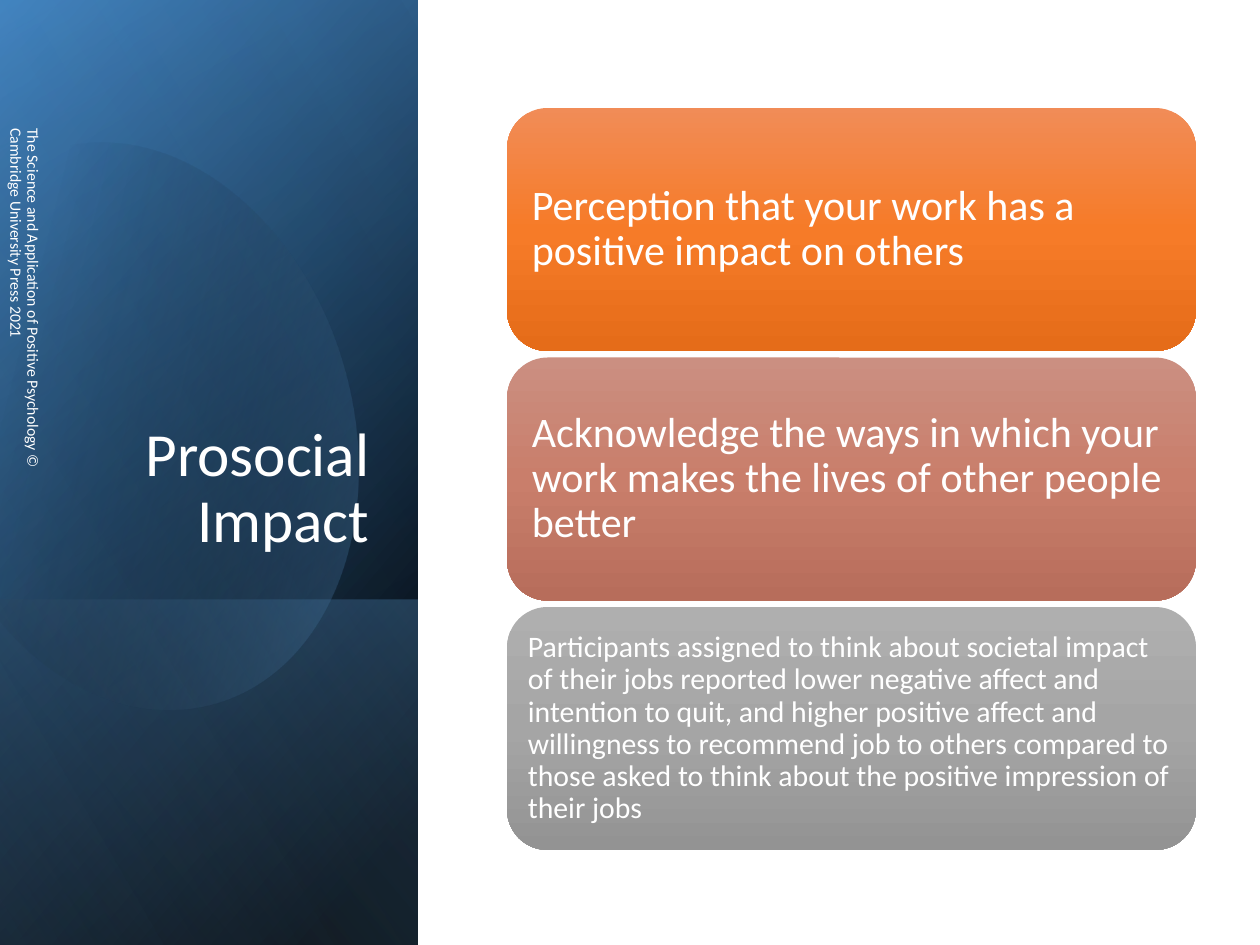
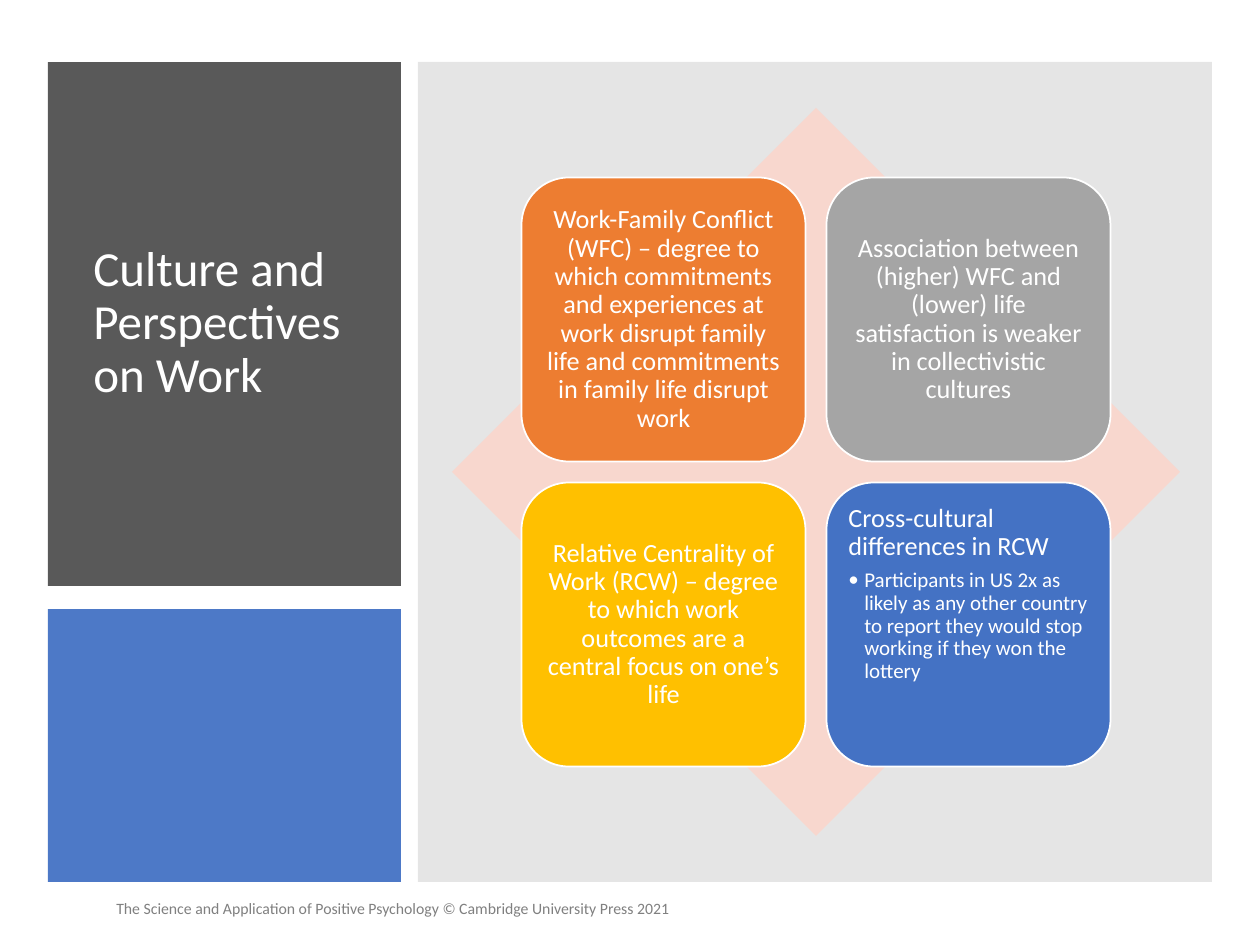
from lxml import etree
from pptx import Presentation
from pptx import util as u
from pptx.dml.color import RGBColor
from pptx.enum import shapes, text
from pptx.oxml import ns

PX = u.Inches(1) / 126
FONT = "Calibri"
WHITE, GREY, BLUE, SKY = "FFFFFF", "808080", "4472C4", "5B9BD5"
CREDIT = ("The Science and Application of Positive Psychology "
          "© Cambridge University Press 2021")
KIND = shapes.MSO_SHAPE
MID, LOW, TOP = (text.MSO_ANCHOR.MIDDLE, text.MSO_ANCHOR.BOTTOM,
                 text.MSO_ANCHOR.TOP)
LEFT, MIDDLE, RIGHT = (text.PP_ALIGN.LEFT, text.PP_ALIGN.CENTER,
                       text.PP_ALIGN.RIGHT)


def px(n):
    return round(n * PX)


def rgb(code):
    return RGBColor.from_string(code)


def node(parent, tag, **attrs):
    return etree.SubElement(parent, ns.qn(tag),
                            {k: str(v) for k, v in attrs.items()})


def paint(shape, fill, alpha=100, line=None):
    """Fill with one colour, or with (angle, stops of position, colour, alpha)."""
    shape.shadow.inherit = False
    if isinstance(fill, str):
        shape.fill.solid()
        shape.fill.fore_color.rgb = rgb(fill)
        if alpha < 100:
            color = shape._element.spPr.find(".//" + ns.qn("a:srgbClr"))
            node(color, "a:alpha", val=alpha * 1000)
    else:
        blend(shape, *fill)
    if line:
        shape.line.color.rgb = rgb(line)
        shape.line.width = u.Pt(1)
    else:
        shape.line.fill.background()


def blend(shape, angle, stops):
    shape.fill.background()
    blank = shape._element.spPr.find(ns.qn("a:noFill"))
    grad = etree.Element(ns.qn("a:gradFill"), rotWithShape="1")
    group = node(grad, "a:gsLst")
    for pos, code, alpha in stops:
        stop = node(group, "a:gs", pos=pos * 1000)
        color = node(stop, "a:srgbClr", val=code)
        if alpha < 100:
            node(color, "a:alpha", val=alpha * 1000)
    node(grad, "a:lin", ang=angle * 60000, scaled=0)
    blank.getparent().replace(blank, grad)


def block(slide, kind, box, fill, **look):
    shape = slide.shapes.add_shape(kind, *map(px, box))
    paint(shape, fill, **look)
    return shape


def write(shape, words, size=15, color=WHITE, align=LEFT, anchor=MID,
          inset=None, spacing=0.9, bullet=False):
    """Set the first paragraph, or add a bulleted one below it."""
    frame = shape.text_frame
    frame.word_wrap = True
    if bullet:
        para = frame.add_paragraph()
        para.level = 1
        props = para._p.get_or_add_pPr()
        props.set("marL", str(px(16)))
        props.set("indent", str(-px(16)))
        node(props, "a:buFont", typeface=FONT)
        node(props, "a:buChar", char="•")
    else:
        para = frame.paragraphs[0]
        frame.vertical_anchor = anchor
        if inset is not None:
            frame.margin_left = frame.margin_right = px(inset)
            frame.margin_top = frame.margin_bottom = px(inset)
    para.alignment = align
    para.line_spacing = spacing
    run = para.add_run()
    run.text = words
    run.font.name = FONT
    run.font.size = u.Pt(size)
    run.font.color.rgb = rgb(color)
    return para


def label(slide, box, words, **look):
    shape = slide.shapes.add_textbox(*map(px, box))
    write(shape, words, **look)
    return shape


def credit(slide, box, turn=0, **look):
    """Centre the credit as a block whose lines start at the left."""
    shape = label(slide, box, CREDIT, size=9, **look)
    shape.rotation = turn
    shape.text_frame._txBody.bodyPr.set("anchorCtr", "1")


def glow(slide, x, y):
    """Draw the tilted oval with curved edges."""
    wide, high = 403, 576
    pen = slide.shapes.build_freeform(px(x), px(y))
    pen.add_line_segments([(px(x + a), px(y + b)) for a, b in
                           ((wide, 0), (wide, high), (0, high))])
    shape = pen.convert_to_shape()
    track = shape._element.spPr.find(".//" + ns.qn("a:path"))
    for part in list(track):
        track.remove(part)
    track.set("w", str(wide))
    track.set("h", str(high))
    steps = [("moveTo", (251, 13)),
             ("cubicBezTo", (339, 49), (403, 159), (403, 288)),
             ("cubicBezTo", (403, 447), (306, 576), (187, 576)),
             ("cubicBezTo", (112, 576), (46, 526), (8, 449)),
             ("lnTo", (0, 431)),
             ("lnTo", (86, 34)),
             ("lnTo", (102, 23)),
             ("cubicBezTo", (129, 8), (157, 0), (187, 0)),
             ("cubicBezTo", (210, 0), (231, 5), (251, 13)),
             ("close",)]
    for name, *points in steps:
        step = node(track, "a:" + name)
        for a, b in points:
            node(step, "a:pt", x=a, y=b)
    shape.rotation = 343.9
    paint(shape, (30, [(29, "000000", 0), (100, SKY, 43)]))


def band(slide, x, y, wide, high):
    """Layer the blue side band, with its title and upright credit."""
    full = (x, y, wide, high)
    foot = (x, y + 600, wide, high - 600)
    layers = [(full, 220, [(8, "000000", 100), (100, "2E75B6", 100)]),
              (full, 240, [(0, "000000", 0), (99, SKY, 46)]),
              (foot, 140, [(2, SKY, 29), (100, "000000", 30)])]
    for box, angle, stops in layers:
        block(slide, KIND.RECTANGLE, box, (angle, stops))
    glow(slide, x - 52, y + 134)
    block(slide, KIND.RECTANGLE, full,
          (150, [(0, "000000", 0), (99, "9DC3E6", 11)]))
    label(slide, (x + 60, y + 232, 322, 330), "Prosocial Impact",
          size=35, align=RIGHT, anchor=LOW)
    credit(slide, (x - 189, y + 273, 426, 50), turn=90)


def stack(slide, x, y, wide, high):
    cards = [
        ("Perception that your work has a positive impact on others",
         24, 13, ("F18C57", "F67B28", "E56C19")),
        ("Acknowledge the ways in which your work makes the lives of other "
         "people better", 24, 13, ("CB8F81", "C97E6B", "B76D5B")),
        ("Participants assigned to think about societal impact of their jobs "
         "reported lower negative affect and intention to quit, and higher "
         "positive affect and willingness to recommend job to others compared "
         "to those asked to think about the positive impression of their jobs",
         17, 9, ("AFAFAF", "A5A5A5", "939393"))]
    tall = 243
    step = (high - tall) / (len(cards) - 1)
    for i, (words, size, inset, tones) in enumerate(cards):
        stops = [(50 * n, tone, 100) for n, tone in enumerate(tones)]
        card = block(slide, KIND.ROUNDED_RECTANGLE,
                     (x, y + i * step, wide, tall), (90, stops))
        write(card, words, size=size, inset=inset)


def panels(slide, x, y, wide, high):
    """Draw the title panel, the blue panel below it and the pale stage."""
    block(slide, KIND.RECTANGLE, (x, y, 353, 524), "595959")
    label(slide, (x + 33, y + 39, 293, 446),
          "Culture and Perspectives on Work", size=28)
    block(slide, KIND.RECTANGLE, (x, y + 547, 353, high - 547), BLUE, alpha=95)
    block(slide, KIND.RECTANGLE, (x + 370, y, wide - 370, high), GREY, alpha=20)
    credit(slide, (x, y + high + 1, 689, 50), color=GREY, spacing=1)


def matrix(slide, x, y, side):
    """Set four cards, two by two, on a diamond."""
    block(slide, KIND.DIAMOND, (x, y, side, side), "F8D7CE")
    cards = [
        ("Work-Family Conflict (WFC) – degree to which commitments and "
         "experiences at work disrupt family life and commitments in family "
         "life disrupt work", "ED7D31"),
        ("Association between (higher) WFC and (lower) life satisfaction is "
         "weaker in collectivistic cultures", "A5A5A5"),
        ("Relative Centrality of Work (RCW) – degree to which work outcomes "
         "are a central focus on one’s life", "FFC000"),
        ("Cross-cultural differences in RCW", BLUE)]
    size, step = 284, 305
    edge = (side - size - step) / 2
    for i, (words, tone) in enumerate(cards):
        row, col = divmod(i, 2)
        box = (x + edge + col * step, y + edge + row * step, size, size)
        card = block(slide, KIND.ROUNDED_RECTANGLE, box, tone, line=WHITE)
        last = i == len(cards) - 1
        para = write(card, words, inset=8, align=LEFT if last else MIDDLE,
                     anchor=TOP if last else MID)
        if last:
            para.space_after = u.Pt(5)
            write(card, "Participants in US 2x as likely as any other country "
                  "to report they would stop working if they won the lottery",
                  size=12, bullet=True)


def main():
    deck = Presentation()
    deck.slide_width, deck.slide_height = px(1260), px(945)
    impact, culture = (deck.slides.add_slide(deck.slide_layouts[6])
                       for _ in range(2))
    band(impact, 0, 0, 418, 945)
    stack(impact, 507, 108, 689, 742)
    panels(culture, 48, 62, 1164, 820)
    matrix(culture, 452, 108, 728)
    deck.save("out.pptx")


if __name__ == "__main__":
    main()
